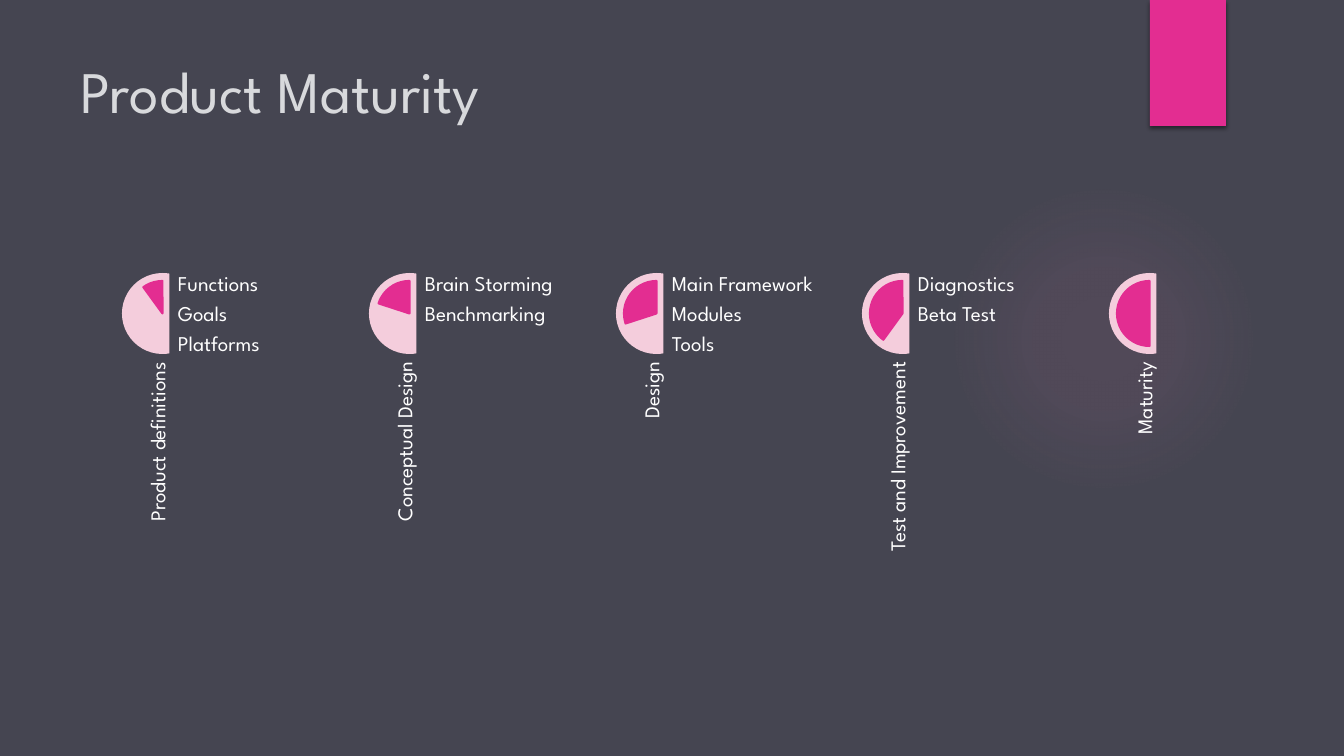
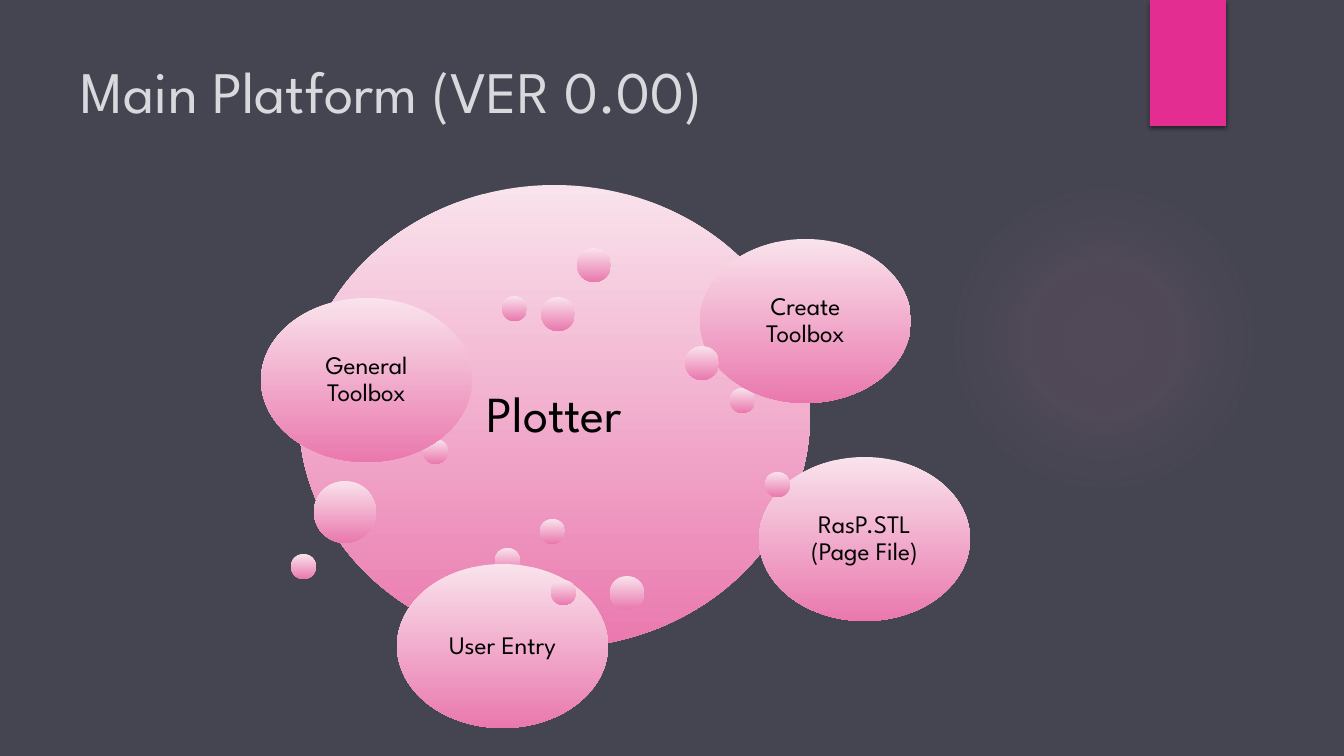
"""Build two dark slides: product maturity stages and the main platform bubbles."""
from dataclasses import dataclass

from pptx import Presentation
from pptx.dml.color import RGBColor
from pptx.enum.shapes import MSO_SHAPE
from pptx.enum.text import MSO_ANCHOR, PP_ALIGN
from pptx.oxml import parse_xml
from pptx.oxml.ns import nsdecls
from pptx.util import Emu, Pt

ELLIPSE, RECT = MSO_SHAPE.OVAL, MSO_SHAPE.RECTANGLE
CHORD, PIE = MSO_SHAPE.CHORD, MSO_SHAPE.PIE
TOP, MIDDLE, BOTTOM = MSO_ANCHOR.TOP, MSO_ANCHOR.MIDDLE, MSO_ANCHOR.BOTTOM
LEFT, CENTER, RIGHT = PP_ALIGN.LEFT, PP_ALIGN.CENTER, PP_ALIGN.RIGHT

SLIDE_W, SLIDE_H = 1344, 756
EMU_PER_PX = 12192000 / SLIDE_W
FONT = "League Spartan"
BACKGROUND, TITLE_GREY = "454551", "D8D9DC"
PINK, GLOW, PALE = "E32D91", "EE81BD", "F4CDDC"
BUBBLE_TOP, BUBBLE_BOTTOM = "F9E3EC", "EA78AE"
WHITE, BLACK = "FFFFFF", "000000"

STAGE_FIRST, STAGE_LAST, STAGE_TOP = 122, 1109, 273
DIAL, DIAL_INSET = 81, 8
DEGREE = 0.6
SMALL, MEDIUM, LARGE = 25, 34, 62
LOBE_W, LOBE_H = 211, 164


@dataclass(frozen=True)
class Stage:
    """One stage of product maturity."""
    name: str
    items: tuple[str, ...] = ()


@dataclass(frozen=True)
class Bubble:
    """One bubble, with an optional caption."""
    x: int
    y: int
    w: int
    h: int
    text: str = ""
    size: int = 18
    inset: int = 7


def dot(x: int, y: int, size: int) -> Bubble:
    """Return a round bubble without a caption."""
    return Bubble(x, y, size, size)


def lobe(x: int, y: int, text: str) -> Bubble:
    """Return a captioned bubble of the common size."""
    return Bubble(x, y, LOBE_W, LOBE_H, text)


STAGES = (
    Stage("Product definitions", ("Functions", "Goals", "Platforms")),
    Stage("Conceptual Design", ("Brain Storming", "Benchmarking")),
    Stage("Design", ("Main Framework", "Modules", "Tools")),
    Stage("Test and Improvement", ("Diagnostics", "Beta Test")),
    Stage("Maturity"),
)

BUBBLES = (
    Bubble(299, 185, 511, 463, "Plotter", 36, 15),
    dot(577, 248, MEDIUM),
    dot(495, 548, SMALL),
    dot(730, 388, SMALL),
    dot(610, 576, MEDIUM),
    dot(502, 296, SMALL),
    dot(423, 439, SMALL),
    lobe(261, 298, "General Toolbox"),
    dot(541, 297, MEDIUM),
    dot(314, 481, LARGE),
    lobe(700, 239, "Create Toolbox"),
    dot(685, 346, MEDIUM),
    dot(291, 554, SMALL),
    dot(540, 519, SMALL),
    lobe(759, 457, "RasP.STL\n(Page File)"),
    dot(765, 472, SMALL),
    lobe(397, 564, "User Entry"),
    dot(551, 580, SMALL),
)


def px(n: int) -> Emu:
    """Turn pixels into EMU."""
    return Emu(round(n * EMU_PER_PX))


def rgb(color: str) -> RGBColor:
    """Turn a hex string into a colour."""
    return RGBColor.from_string(color)


def add_shape(slide, kind, x: int, y: int, w: int, h: int, color: str):
    """Add a flat shape without outline or shadow."""
    sp = slide.shapes.add_shape(kind, px(x), px(y), px(w), px(h))
    sp.shadow.inherit = False
    sp.fill.solid()
    sp.fill.fore_color.rgb = rgb(color)
    sp.line.fill.background()
    return sp


def write(sp, lines: tuple[str, ...], size: int, color: str, inset: int = 0,
          align=LEFT, anchor=TOP, spacing: float = 0.9) -> None:
    """Write one paragraph per line into a shape."""
    tf = sp.text_frame
    tf.word_wrap = True
    tf.vertical_anchor = anchor
    tf.margin_left = tf.margin_right = tf.margin_top = tf.margin_bottom = px(inset)
    for i, line in enumerate(lines):
        p = tf.add_paragraph() if i else tf.paragraphs[0]
        p.text = line
        p.alignment = align
        p.line_spacing = spacing
        if i < len(lines) - 1:
            p.space_after = Pt(size * 0.35)
        for r in p.runs:
            r.font.name = FONT
            r.font.size = Pt(size)
            r.font.color.rgb = rgb(color)


def add_text(slide, x: int, y: int, w: int, h: int, lines: tuple[str, ...],
             size: int, color: str, **style):
    """Add a text box and return it."""
    sp = slide.shapes.add_textbox(px(x), px(y), px(w), px(h))
    write(sp, lines, size, color, **style)
    return sp


def add_glow(slide) -> None:
    """Add the faint round glow on the right."""
    sp = add_shape(slide, ELLIPSE, 949, 184, 310, 310, GLOW)
    stops = "".join(
        f'<a:gs pos="{pos}000"><a:srgbClr val="{GLOW}">'
        f'<a:alpha val="{alpha}000"/></a:srgbClr></a:gs>'
        for pos, alpha in ((0, 7), (36, 6), (69, 0)))
    grad = parse_xml(
        f'<a:gradFill {nsdecls("a")} rotWithShape="1"><a:gsLst>{stops}</a:gsLst>'
        '<a:path path="circle"><a:fillToRect l="50000" t="50000" r="50000" b="50000"/>'
        '</a:path></a:gradFill>')
    props = sp._element.spPr
    props.replace(props.find("{*}solidFill"), grad)


def add_ribbon(slide) -> None:
    """Add the pink ribbon with its soft shadow."""
    sp = add_shape(slide, RECT, 1150, 0, 76, 126, PINK)
    sp._element.spPr.find("{*}effectLst").append(parse_xml(
        f'<a:outerShdw {nsdecls("a")} blurRad="38100" dist="25400" dir="5400000" '
        f'rotWithShape="0"><a:srgbClr val="{BLACK}"><a:alpha val="45000"/>'
        '</a:srgbClr></a:outerShdw>'))


def new_slide(prs, title: str):
    """Add a slide with the shared background, glow, ribbon and title."""
    slide = prs.slides.add_slide(prs.slide_layouts[6])
    slide.background.fill.solid()
    slide.background.fill.fore_color.rgb = rgb(BACKGROUND)
    add_glow(slide)
    add_ribbon(slide)
    add_text(slide, 81, 55, 1017, 144, (title,), 42, TITLE_GREY, spacing=1.0)
    return slide


def add_stage(slide, x: int, stage: Stage, progress: float) -> None:
    """Add a half dial filled by progress, its label and its items."""
    sp = add_shape(slide, CHORD, x, STAGE_TOP, DIAL, DIAL, PALE)
    sp.adjustments[0] = 80 * DEGREE
    sp.adjustments[1] = 280 * DEGREE
    inner = DIAL - 2 * DIAL_INSET
    sp = add_shape(slide, PIE, x + DIAL_INSET, STAGE_TOP + DIAL_INSET, inner, inner, PINK)
    sp.adjustments[0] = (270 - 180 * progress) * DEGREE
    sp.adjustments[1] = 270 * DEGREE
    sp.line.color.rgb = rgb(PINK)
    sp.line.width = Pt(1.5)
    label = add_text(slide, x - 93, 455, 234, 48, (stage.name,), 15, WHITE,
                     align=RIGHT, anchor=BOTTOM)
    label.rotation = 270
    if stage.items:
        add_text(slide, x + 56, STAGE_TOP, 161, 323, stage.items, 15, WHITE)


def add_bubble(slide, bubble: Bubble) -> None:
    """Add a bubble with a vertical gradient and its caption."""
    sp = add_shape(slide, ELLIPSE, bubble.x, bubble.y, bubble.w, bubble.h, BUBBLE_TOP)
    sp.fill.gradient()
    sp.fill.gradient_angle = 270
    for stop, color in zip(sp.fill.gradient_stops, (BUBBLE_TOP, BUBBLE_BOTTOM)):
        stop.color.rgb = rgb(color)
    if bubble.text:
        write(sp, (bubble.text,), bubble.size, BLACK, bubble.inset, CENTER, MIDDLE)


def main() -> None:
    """Build and save the presentation."""
    prs = Presentation()
    prs.slide_width, prs.slide_height = px(SLIDE_W), px(SLIDE_H)

    slide = new_slide(prs, "Product Maturity")
    pitch = (STAGE_LAST - STAGE_FIRST) / (len(STAGES) - 1)
    for i, stage in enumerate(STAGES):
        add_stage(slide, round(STAGE_FIRST + i * pitch), stage, (i + 1) / len(STAGES))

    slide = new_slide(prs, "Main Platform (VER 0.00)")
    for bubble in BUBBLES:
        add_bubble(slide, bubble)

    prs.save("out.pptx")


if __name__ == "__main__":
    main()
